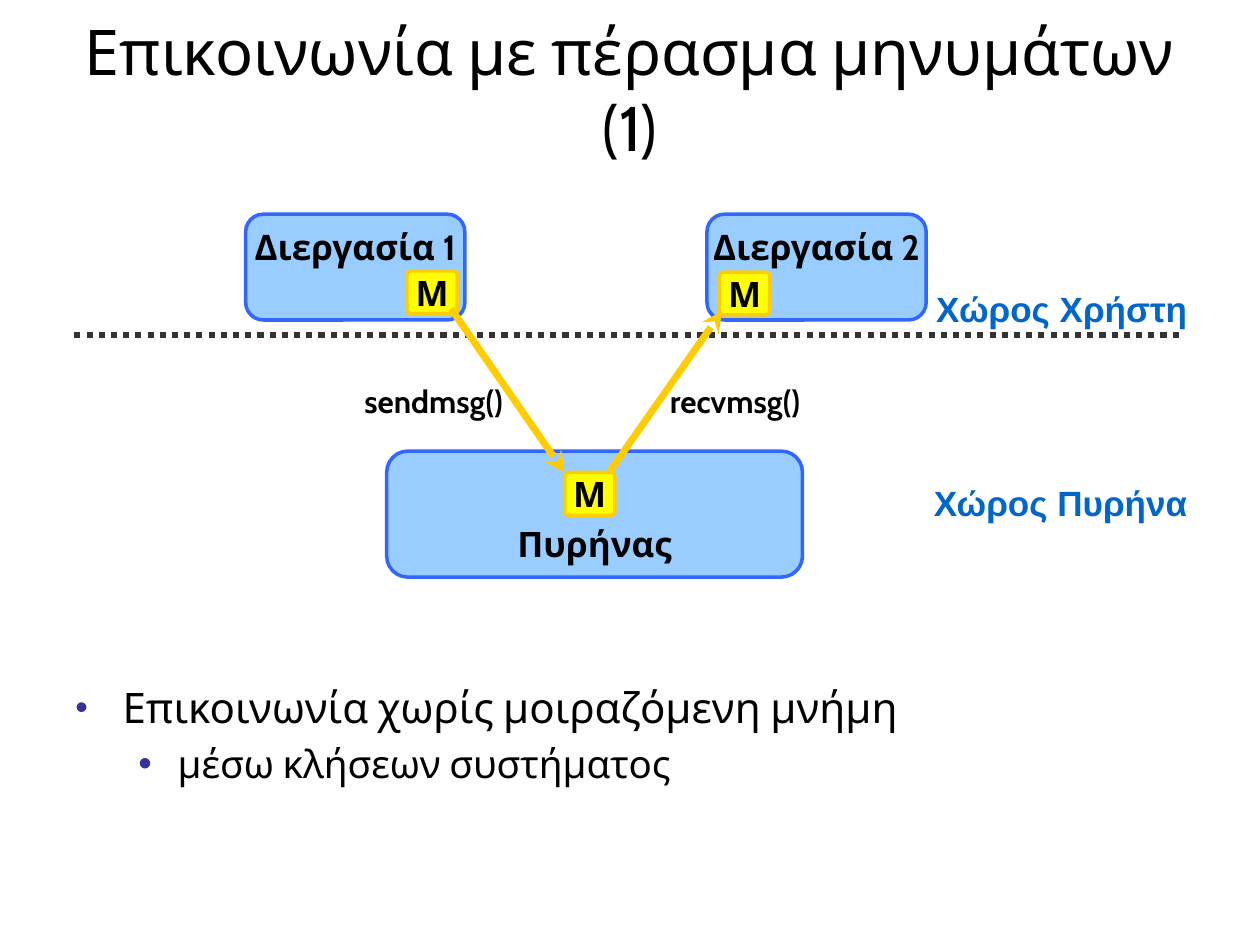
import dataclasses
from typing import Optional

import lxml.etree
import pptx
import pptx.dml.color
import pptx.enum.dml
import pptx.enum.shapes
import pptx.enum.text
import pptx.oxml.ns
import pptx.util

Pt = pptx.util.Pt
RGBColor = pptx.dml.color.RGBColor
ALIGN = pptx.enum.text.PP_ALIGN
ANCHOR = pptx.enum.text.MSO_ANCHOR
qn = pptx.oxml.ns.qn

BLACK = RGBColor(0x00, 0x00, 0x00)
LABEL_BLUE = RGBColor(0x00, 0x66, 0xCC)
BULLET_BLUE = RGBColor(0x33, 0x33, 0x99)
BOX_FILL = RGBColor(0x99, 0xCC, 0xFF)
BOX_LINE = RGBColor(0x33, 0x66, 0xFF)
MESSAGE_FILL = RGBColor(0xFF, 0xFF, 0x00)
MESSAGE_LINE = RGBColor(0xFF, 0xCC, 0x00)
DIVIDER = RGBColor(0x33, 0x33, 0x33)


@dataclasses.dataclass
class Box:
    """A rounded box with a centred bold caption."""
    text: str
    left: float
    top: float
    width: float = 125.3
    height: float = 60.5
    anchor: ANCHOR = ANCHOR.TOP
    fill: RGBColor = BOX_FILL
    line: RGBColor = BOX_LINE
    radius: float = 0.167
    inset: Optional[float] = None


@dataclasses.dataclass
class Label:
    """A free text on the slide."""
    text: str
    left: float
    top: float
    width: float
    height: float
    size: float
    align: ALIGN
    font: str = "Cabin"
    color: RGBColor = BLACK
    bold: bool = True
    anchor: ANCHOR = ANCHOR.TOP
    inset: Optional[float] = None
    space_before: float = 0


@dataclasses.dataclass
class Line:
    """A straight line, dotted or ending in an arrowhead."""
    x1: float
    y1: float
    x2: float
    y2: float
    color: RGBColor = MESSAGE_LINE
    width: float = 4
    dotted: bool = False


@dataclasses.dataclass
class Bullet:
    """A bulleted paragraph."""
    text: str
    size: float
    level: int
    margin: float
    hanging: float
    scale: int


def message(left: float, top: float) -> Box:
    """Describe a message box at the given place."""
    return Box("Μ", left, top, 28.8, 24.5, ANCHOR.MIDDLE,
               MESSAGE_FILL, MESSAGE_LINE, 0.092, 0)


def style(p, size: float, font: str = "Cabin", color: RGBColor = BLACK,
          bold: bool = False) -> None:
    """Format every run of a paragraph."""
    for r in p.runs:
        r.font.size = Pt(size)
        r.font.name = font
        r.font.color.rgb = color
        r.font.bold = bold


def set_frame(tf, anchor: ANCHOR, inset: Optional[float], wrap: bool) -> None:
    """Set anchor, wrapping and, if given, equal insets of a text frame."""
    tf.word_wrap = wrap
    tf.vertical_anchor = anchor
    if inset is not None:
        tf.margin_left = tf.margin_right = Pt(inset)
        tf.margin_top = tf.margin_bottom = Pt(inset)


def add_box(s, box: Box) -> None:
    """Draw a rounded box."""
    sp = s.shapes.add_shape(
        pptx.enum.shapes.MSO_SHAPE.ROUNDED_RECTANGLE,
        Pt(box.left), Pt(box.top), Pt(box.width), Pt(box.height))
    sp.shadow.inherit = False
    sp.adjustments[0] = box.radius
    sp.fill.solid()
    sp.fill.fore_color.rgb = box.fill
    sp.line.color.rgb = box.line
    sp.line.width = Pt(2)
    set_frame(sp.text_frame, box.anchor, box.inset, False)
    p = sp.text_frame.paragraphs[0]
    p.text = box.text
    p.alignment = ALIGN.CENTER
    style(p, 20, bold=True)


def add_label(s, label: Label) -> None:
    """Draw a text box with one paragraph."""
    sp = s.shapes.add_textbox(Pt(label.left), Pt(label.top),
                              Pt(label.width), Pt(label.height))
    set_frame(sp.text_frame, label.anchor, label.inset, True)
    p = sp.text_frame.paragraphs[0]
    p.text = label.text
    p.alignment = label.align
    p.space_before = Pt(label.space_before)
    style(p, label.size, label.font, label.color, label.bold)


def add_line(s, line: Line) -> None:
    """Draw a dotted line or an arrow."""
    sp = s.shapes.add_connector(
        pptx.enum.shapes.MSO_CONNECTOR.STRAIGHT,
        Pt(line.x1), Pt(line.y1), Pt(line.x2), Pt(line.y2))
    sp.line.color.rgb = line.color
    sp.line.width = Pt(line.width)
    if line.dotted:
        sp.line.dash_style = pptx.enum.dml.MSO_LINE.ROUND_DOT
    else:
        ln = sp.line._get_or_add_ln()
        lxml.etree.SubElement(ln, qn("a:tailEnd"), type="stealth")
    lxml.etree.SubElement(sp._element.spPr, qn("a:effectLst"))


def add_bullets(s, bullets: list[Bullet]) -> None:
    """Draw the bulleted text at the bottom of the slide."""
    tf = s.shapes.add_textbox(Pt(36), Pt(386), Pt(648), Pt(131)).text_frame
    tf.word_wrap = True
    for i, bullet in enumerate(bullets):
        p = tf.add_paragraph() if i else tf.paragraphs[0]
        p.text = bullet.text
        p.level = bullet.level
        p.space_before = Pt(0.2 * bullet.size)
        style(p, bullet.size)
        pPr = p._p.get_or_add_pPr()
        pPr.set("marL", str(Pt(bullet.margin)))
        pPr.set("indent", str(-Pt(bullet.hanging)))
        clr = lxml.etree.SubElement(pPr, qn("a:buClr"))
        lxml.etree.SubElement(clr, qn("a:srgbClr"), val=str(BULLET_BLUE))
        lxml.etree.SubElement(pPr, qn("a:buSzPct"), val=str(bullet.scale * 1000))
        lxml.etree.SubElement(pPr, qn("a:buFont"), typeface="Arial")
        lxml.etree.SubElement(pPr, qn("a:buChar"), char="•")


LABELS = [
    Label("Επικοινωνία με πέρασμα μηνυμάτων (1)", 36, 21.6, 648, 57.6, 36,
          ALIGN.CENTER, bold=False, anchor=ANCHOR.MIDDLE),
    Label("Χώρος Χρήστη", 523, 164.2, 155.5, 24, 20, ALIGN.RIGHT,
          "Arial", LABEL_BLUE, inset=0),
    Label("Χώρος Πυρήνα", 523, 275, 155.5, 24, 20, ALIGN.RIGHT,
          "Arial", LABEL_BLUE, inset=0),
    Label("sendmsg()", 191.5, 214.6, 103, 29, 18, ALIGN.RIGHT, space_before=9),
    Label("recvmsg()", 375.8, 214.6, 103, 29, 18, ALIGN.LEFT, space_before=9),
]
PROCESSES = [Box("Διεργασία 1", 140.4, 122.4), Box("Διεργασία 2", 404, 122.4)]
KERNEL = Box("Πυρήνας", 221, 257.8, 237.6, 72, ANCHOR.BOTTOM)
MESSAGES = [message(232.5, 154.8), message(322.6, 270), message(411.1, 155.5)]
USER_KERNEL_BORDER = Line(42.5, 191.5, 676.8, 191.5, DIVIDER, 3.5, True)
SEND = Line(257.8, 176.4, 322.6, 270)
RECEIVE = Line(348.5, 269.3, 412.6, 177.8)
BULLETS = [
    Bullet("Επικοινωνία χωρίς μοιραζόμενη μνήμη", 24, 0, 27, 27, 85),
    Bullet("μέσω κλήσεων συστήματος", 22, 1, 58.5, 22.5, 100),
]

prs = pptx.Presentation()
prs.slide_width, prs.slide_height = Pt(720), Pt(540)
s = prs.slides.add_slide(prs.slide_layouts[6])
add_line(s, USER_KERNEL_BORDER)
for box in [*PROCESSES, KERNEL, *MESSAGES]:
    add_box(s, box)
for arrow in (SEND, RECEIVE):
    add_line(s, arrow)
for label in LABELS:
    add_label(s, label)
add_bullets(s, BULLETS)
prs.save("out.pptx")
